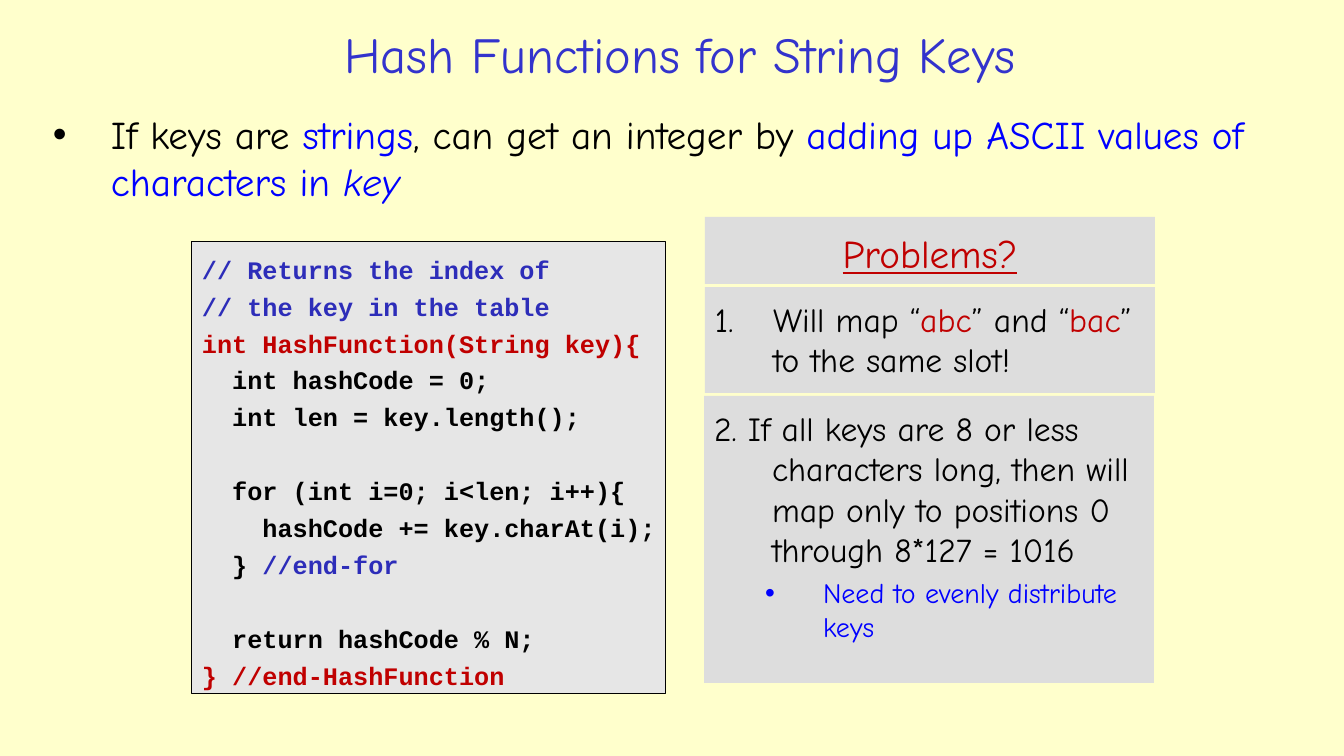
from dataclasses import dataclass

from lxml.etree import SubElement
from pptx import Presentation
from pptx.dml.color import RGBColor
from pptx.enum.shapes import MSO_SHAPE as Preset
from pptx.enum.text import MSO_ANCHOR as Anchor, PP_ALIGN as Align
from pptx.oxml.ns import qn
from pptx.util import Pt

EMU_PER_PX = 914400 / 100.8
HANGING = 58
SIDE_INSET, TOP_INSET = 10, 5
FIRST_LINE_DROP = 7
PARAGRAPH_GAP = Pt(4.8)

CREAM = RGBColor(0xFF, 0xFF, 0xCC)
LIGHT_GREY = RGBColor(0xE6, 0xE6, 0xE6)
GREY = RGBColor(0xDD, 0xDD, 0xDD)
BLACK = RGBColor(0, 0, 0)
BLUE = RGBColor(0, 0, 0xFF)
TITLE_BLUE = RGBColor(0x33, 0x33, 0xCC)
COMMENT_BLUE = RGBColor(0x2D, 0x2D, 0xB9)
RED = RGBColor(0xC0, 0, 0)

HAND, CODE = "Comic Neue", "Courier New"


@dataclass
class Span:
    text: str
    color: RGBColor = BLACK
    italic: bool = False
    underline: bool = False


@dataclass
class Para:
    spans: list[Span]
    size: int
    bullet: str = ""
    level: int = 0
    align: Align = Align.LEFT
    hanging: int = HANGING


@dataclass
class Box:
    left: int
    top: int
    width: int
    height: int
    paras: list[Para]
    fill: RGBColor | None = None
    outline: RGBColor | None = None
    font: str = HAND
    anchor: Anchor = Anchor.TOP
    drop: int = FIRST_LINE_DROP
    right_inset: int = SIDE_INSET


def px(length: int) -> int:
    return round(length * EMU_PER_PX)


def code_line(text: str, color: RGBColor = BLACK, comment: str = "") -> Para:
    spans = [Span(text, color)] if text else []
    if comment:
        spans.append(Span(comment, COMMENT_BLUE))
    return Para(spans, 18)


def add_bullet(properties, bullet: str) -> None:
    """Number the paragraph for "1.", otherwise use the bullet character."""
    if bullet == "1.":
        SubElement(properties, qn("a:buFont"), typeface="+mj-lt")
        SubElement(properties, qn("a:buAutoNum"), type="arabicPeriod")
    else:
        SubElement(properties, qn("a:buFont"), typeface="Arial")
        SubElement(properties, qn("a:buChar"), char=bullet)


def fill_paragraph(paragraph, para: Para, font: str, first: bool) -> None:
    paragraph.alignment = para.align
    paragraph.level = para.level
    if not first:
        paragraph.space_before = PARAGRAPH_GAP
    properties = paragraph._p.get_or_add_pPr()
    properties.set("marL", str(px(para.hanging + 51 * para.level)))
    properties.set("indent", str(-px(para.hanging)))
    if para.bullet:
        add_bullet(properties, para.bullet)
    for span in para.spans:
        run = paragraph.add_run()
        run.text = span.text
        run.font.name = font
        run.font.size = Pt(para.size)
        run.font.bold = font == CODE
        run.font.italic = span.italic
        run.font.underline = span.underline
        run.font.color.rgb = span.color
    if not para.spans:
        end = SubElement(paragraph._p, qn("a:endParaRPr"), sz=str(para.size * 100))
        SubElement(end, qn("a:latin"), typeface=font)


def add_box(slide, box: Box) -> None:
    place = [px(n) for n in (box.left, box.top, box.width, box.height)]
    if box.fill is None:
        shape = slide.shapes.add_textbox(*place)
    else:
        shape = slide.shapes.add_shape(Preset.RECTANGLE, *place)
        shape.shadow.inherit = False
        shape.fill.solid()
        shape.fill.fore_color.rgb = box.fill
        if box.outline is None:
            shape.line.fill.background()
        else:
            shape.line.color.rgb = box.outline
            shape.line.width = Pt(0.75)
    frame = shape.text_frame
    frame.word_wrap = True
    frame.vertical_anchor = box.anchor
    frame.margin_left, frame.margin_right = px(SIDE_INSET), px(box.right_inset)
    frame.margin_top, frame.margin_bottom = px(TOP_INSET + box.drop), px(TOP_INSET)
    for index, para in enumerate(box.paras):
        paragraph = frame.add_paragraph() if index else frame.paragraphs[0]
        fill_paragraph(paragraph, para, box.font, first=index == 0)


TITLE = Para([Span("Hash Functions for String Keys", TITLE_BLUE)], 36,
             align=Align.CENTER, hanging=0)
INTRO = Para([
    Span("If keys are "), Span("strings", BLUE), Span(", can get an integer by "),
    Span("adding up ASCII values of characters in ", BLUE),
    Span("key", BLUE, italic=True),
], 28, "•")
HASH_FUNCTION = [
    code_line("// Returns the index of", COMMENT_BLUE),
    code_line("// the key in the table", COMMENT_BLUE),
    code_line("int HashFunction(String key){", RED),
    code_line("  int hashCode = 0;"),
    code_line("  int len = key.length();"),
    code_line(""),
    code_line("  for (int i=0; i<len; i++){"),
    code_line("    hashCode += key.charAt(i);"),
    code_line("  } ", comment="//end-for"),
    code_line(""),
    code_line("  return hashCode % N;"),
    code_line("} //end-HashFunction", RED),
]
SAME_SLOT = Para([
    Span("Will map “"), Span("abc", RED), Span("” and “"), Span("bac", RED),
    Span("” to the same slot!"),
], 24, "1.")
PROBLEMS = Para([Span("Problems?", RED, underline=True)], 28, align=Align.CENTER)
SHORT_KEYS = [
    Para([Span("2. If all keys are 8 or less characters long, then will "
               "map only to positions 0 through 8*127 = 1016")], 24),
    Para([Span("Need to evenly distribute keys", BLUE)], 20, "•", level=1),
]

BOXES = [
    Box(199, 15, 962, 77, [TITLE], anchor=Anchor.MIDDLE, drop=0),
    Box(43, 98, 1268, 128, [INTRO]),
    Box(192, 242, 474, 452, HASH_FUNCTION, LIGHT_GREY, BLACK, CODE, right_inset=0),
    Box(705, 287, 450, 106, [SAME_SLOT], GREY),
    Box(705, 217, 450, 67, [PROBLEMS], GREY),
    Box(704, 396, 450, 287, SHORT_KEYS, GREY),
]


def main() -> None:
    deck = Presentation()
    deck.slide_width, deck.slide_height = px(1344), px(756)
    slide = deck.slides.add_slide(deck.slide_layouts[6])
    slide.background.fill.solid()
    slide.background.fill.fore_color.rgb = CREAM
    for box in BOXES:
        add_box(slide, box)
    deck.save("out.pptx")


if __name__ == "__main__":
    main()
